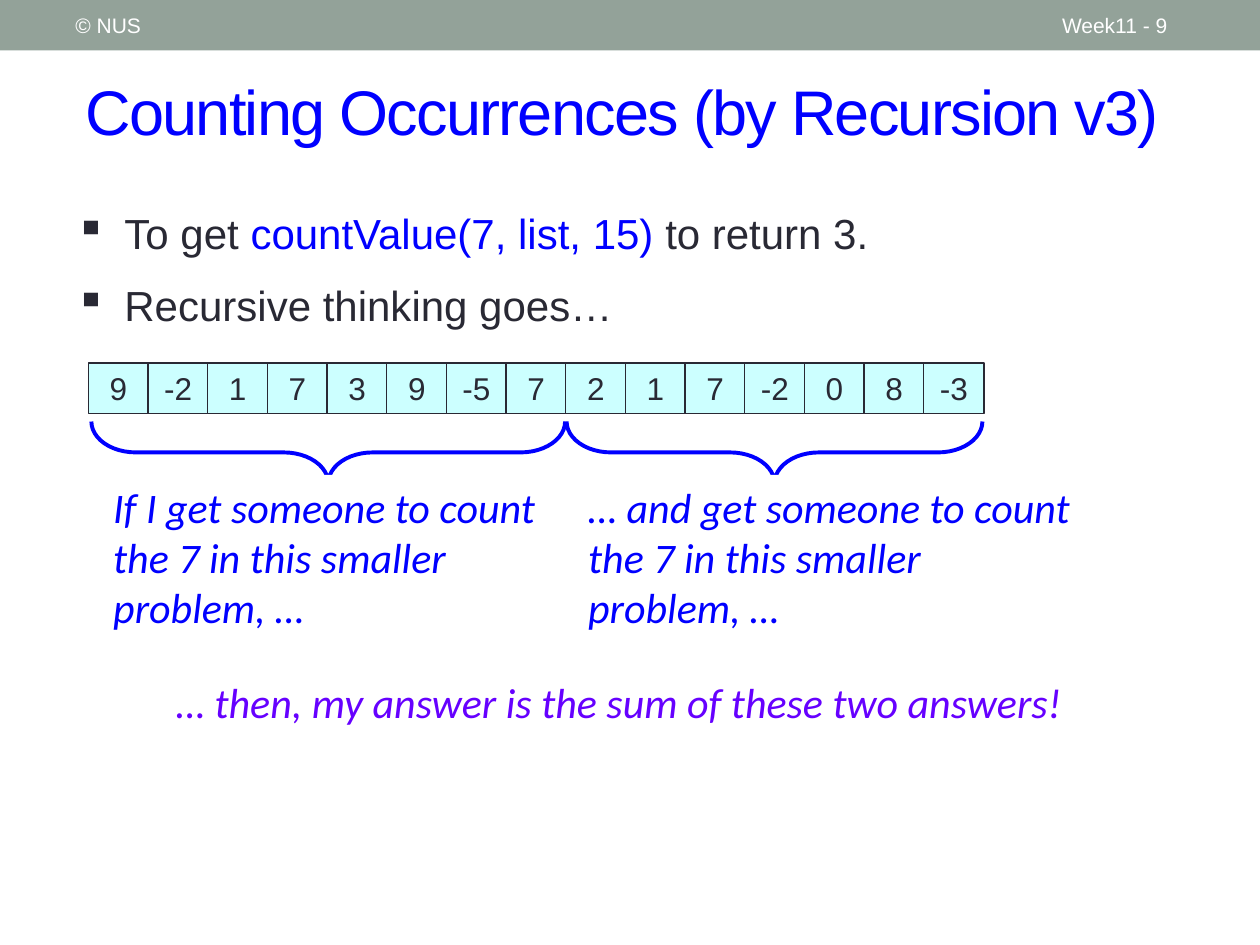
from dataclasses import dataclass

import pptx
import pptx.dml.color
import pptx.enum.shapes
import pptx.enum.text
import pptx.oxml
import pptx.oxml.ns
import pptx.util
from lxml import etree

Pt = pptx.util.Pt
Align = pptx.enum.text.PP_ALIGN
Anchor = pptx.enum.text.MSO_ANCHOR
Preset = pptx.enum.shapes.MSO_SHAPE

COLOURS = {
    "band": "93A299",
    "paper": "FFFFFF",
    "ink": "292934",
    "blue": "0000FF",
    "violet": "6600FF",
    "cell": "CCFFFF",
}
VALUES = [9, -2, 1, 7, 3, 9, -5, 7, 2, 1, 7, -2, 0, 8, -3]
ROW_LEFT, ROW_TOP, CELL_PITCH, CELL_WIDTH, CELL_HEIGHT = 50.4, 207.4, 34.1, 34.5, 28.8
BRACE_MIDDLE, BRACE_DEPTH = 258.5, 35.3


@dataclass
class Frame:
    left: float
    top: float
    width: float
    height: float

    def lengths(self) -> list:
        return [Pt(value) for value in (self.left, self.top, self.width, self.height)]


@dataclass
class Half:
    brace_centre: float
    brace_length: float
    frame: Frame
    text: str


HALVES = [
    Half(187.6, 270.7, Frame(57.6, 271.4, 298.8, 94.3),
         "If I get someone to count \nthe 7 in this smaller \nproblem, …"),
    Half(442.6, 237.6, Frame(329, 271.4, 313.2, 94.3),
         "… and get someone to count the 7 in this smaller \nproblem, …"),
]


def colour(name: str):
    return pptx.dml.color.RGBColor.from_string(COLOURS[name])


def add_shape(page, preset, frame: Frame, fill=None, line=None, weight=0.75):
    shape = page.shapes.add_shape(preset, *frame.lengths())
    shape.shadow.inherit = False
    if fill:
        shape.fill.solid()
        shape.fill.fore_color.rgb = colour(fill)
    else:
        shape.fill.background()
    if line:
        shape.line.color.rgb = colour(line)
        shape.line.width = Pt(weight)
    else:
        shape.line.fill.background()
    return shape


def add_box(page, frame: Frame):
    return page.shapes.add_textbox(*frame.lengths())


def add_bullet(para, indent: float):
    properties = para._p.get_or_add_pPr()
    properties.set("marL", str(Pt(indent)))
    properties.set("indent", str(-Pt(indent)))
    mark = etree.SubElement(properties, pptx.oxml.ns.qn("a:buChar"))
    mark.set("char", "▪")


def write(box, *paragraphs, size=24, font="Arial", ink="ink", italic=False, align=Align.LEFT,
          anchor=Anchor.TOP, bullet=0, gap=0, spacing=0, grow=False):
    text_frame = box.text_frame
    text_frame.word_wrap = True
    text_frame.vertical_anchor = anchor
    if grow:
        text_frame.auto_size = pptx.enum.text.MSO_AUTO_SIZE.SHAPE_TO_FIT_TEXT
    for index, pieces in enumerate(paragraphs):
        para = text_frame.add_paragraph() if index else text_frame.paragraphs[0]
        if bullet:
            add_bullet(para, bullet)
        para.alignment = align
        para.space_before = Pt(gap if index else 0)
        para.font.size = Pt(size)
        for text, tint in [(pieces, ink)] if isinstance(pieces, str) else pieces:
            for number, line in enumerate(text.split("\n")):
                if number:
                    para.add_line_break()
                span = para.add_run()
                span.text = line
                span.font.name = font
                span.font.size = Pt(size)
                span.font.italic = italic
                span.font.color.rgb = colour(tint)
                if spacing:
                    span._r.get_or_add_rPr().set("spc", str(spacing * 100))


def add_cells(page):
    for index, value in enumerate(VALUES):
        frame = Frame(ROW_LEFT + index * CELL_PITCH, ROW_TOP, CELL_WIDTH, CELL_HEIGHT)
        cell = add_shape(page, Preset.RECTANGLE, frame, fill="cell", line="ink")
        write(cell, str(value), size=18, align=Align.CENTER, grow=True)


def add_brace(page, centre: float, length: float):
    frame = Frame(centre - BRACE_DEPTH / 2, BRACE_MIDDLE - length / 2, BRACE_DEPTH, length)
    brace = add_shape(page, Preset.LEFT_BRACE, frame, line="blue", weight=2.25)
    brace.rotation = 270
    brace.adjustments[0] = 0.72
    brace.adjustments[1] = 0.5


def add_note(page, frame: Frame, text: str, ink: str):
    note = add_shape(page, Preset.RECTANGLE, frame, fill="paper")
    write(note, text, font="Calibri", ink=ink, italic=True, grow=True)


def main():
    deck = pptx.Presentation()
    deck.slide_width, deck.slide_height = Pt(720), Pt(540)
    page = deck.slides.add_slide(deck.slide_layouts[6])

    add_shape(page, Preset.RECTANGLE, Frame(0, 0, 720, 28.8), fill="band")
    write(add_box(page, Frame(41.8, 30.2, 660.2, 66.2)), "Counting Occurrences (by Recursion v3)",
          size=36, ink="blue", anchor=Anchor.MIDDLE, spacing=-1)
    for left, width, text in [(599.8, 84.2, "Week11 - 9"), (36, 228.2, "© NUS")]:
        write(add_box(page, Frame(left, 1.4, width, 25.9)), text,
              size=12, ink="paper", anchor=Anchor.MIDDLE)
    write(add_box(page, Frame(36, 115.2, 565.2, 77.8)),
          [("To get ", "ink"), ("countValue(7, list, 15)", "blue"), (" to return 3.", "ink")],
          "Recursive thinking goes…", bullet=28, gap=12, grow=True)

    add_cells(page)
    for half in HALVES:
        add_brace(page, half.brace_centre, half.brace_length)
        add_note(page, half.frame, half.text, "blue")
    add_note(page, Frame(93.6, 383, 542.9, 36),
             "… then, my answer is the sum of these two answers!", "violet")
    deck.save("out.pptx")


if __name__ == "__main__":
    main()
